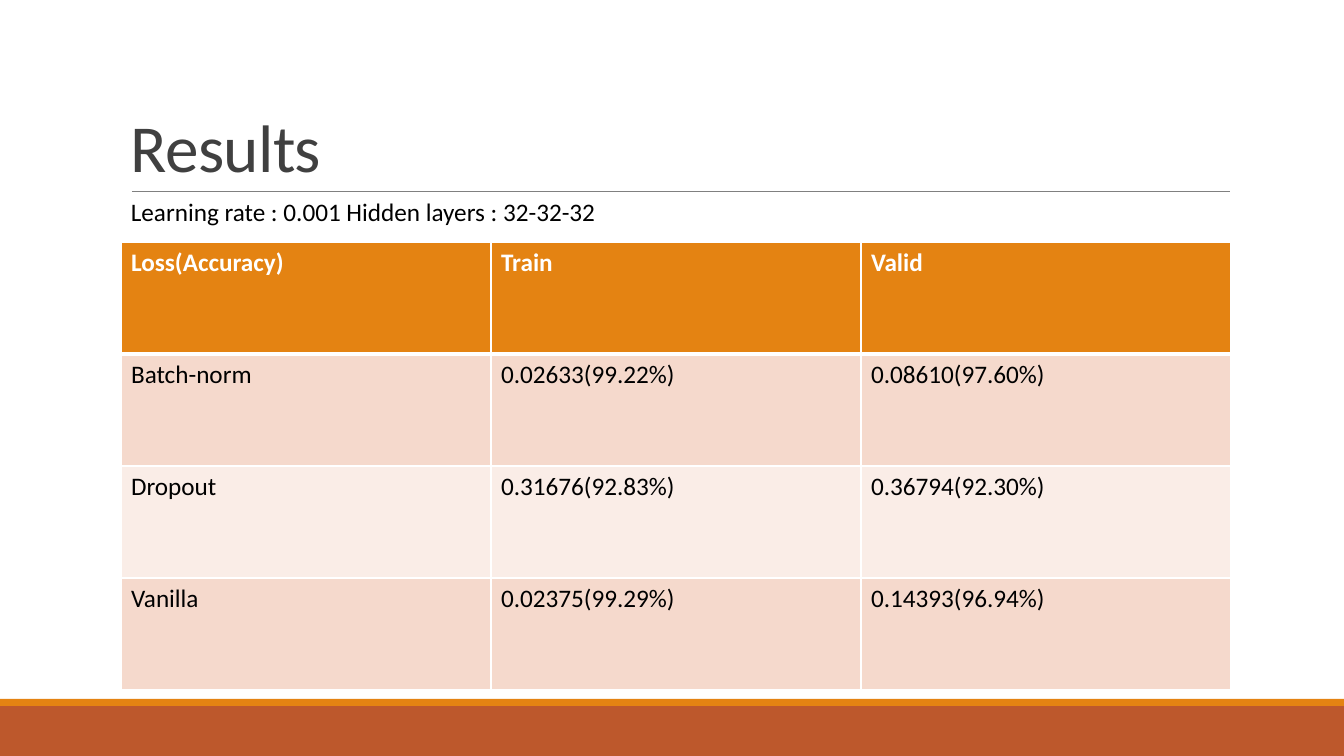
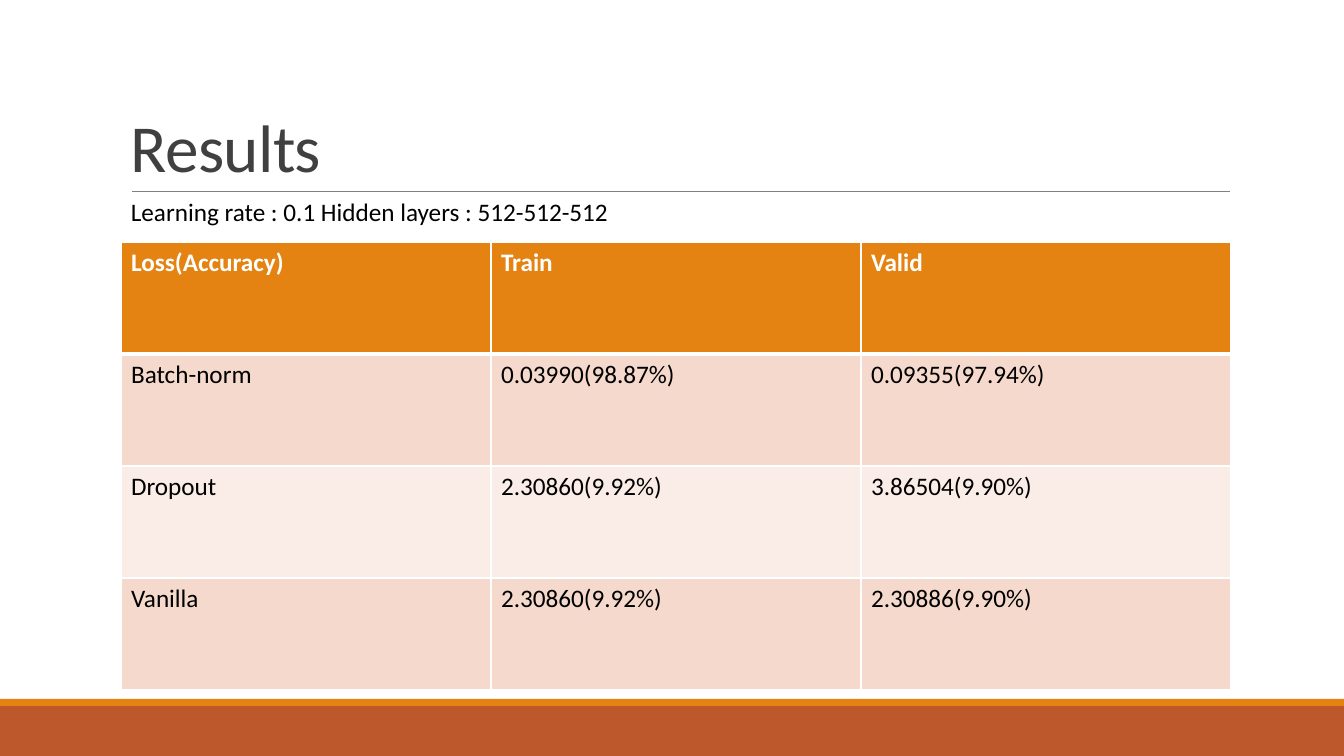
"""Build two result slides comparing training methods."""
from lxml import etree
from pptx import Presentation
from pptx import util as u
from pptx.dml.color import RGBColor
from pptx.enum import shapes, text
from pptx.oxml import ns

RESULTS = [
    ("Learning rate : 0.001 Hidden layers : 32-32-32", [
        ("Batch-norm", "0.02633(99.22%)", "0.08610(97.60%)"),
        ("Dropout", "0.31676(92.83%)", "0.36794(92.30%)"),
        ("Vanilla", "0.02375(99.29%)", "0.14393(96.94%)"),
    ]),
    ("Learning rate : 0.1 Hidden layers : 512-512-512", [
        ("Batch-norm", "0.03990(98.87%)", "0.09355(97.94%)"),
        ("Dropout", "2.30860(9.92%)", "3.86504(9.90%)"),
        ("Vanilla", "2.30860(9.92%)", "2.30886(9.90%)"),
    ]),
]
TITLE = "Results"
HEADER = ("Loss(Accuracy)", "Train", "Valid")

FONT = "Calibri"
WHITE = RGBColor(0xFF, 0xFF, 0xFF)
BLACK = RGBColor(0x00, 0x00, 0x00)
CHARCOAL = RGBColor(0x40, 0x40, 0x40)
GRAY = RGBColor(0x80, 0x80, 0x80)
ORANGE = RGBColor(0xE4, 0x83, 0x12)
RUST = RGBColor(0xBD, 0x58, 0x2C)
ROW_TINTS = (RGBColor(0xF5, 0xD9, 0xCC), RGBColor(0xFA, 0xED, 0xE7))

WIDTH, HEIGHT = 1344, 756
LEFT, CONTENT_WIDTH = 121, 1109
RULE_LEFT, RULE_RIGHT, RULE_Y = 132, 1230, 191
TABLE_TOP, COLUMN_WIDTH, ROW_HEIGHT = 242, 370, 112
BANDS = [(706, 50, RUST), (699, 7, ORANGE)]


def px(length):
    return u.Emu(round(length * 914400 / 100.8))


def write(frame, words, size=18, color=BLACK, bold=False, anchor=text.MSO_ANCHOR.TOP,
          line_spacing=None, tracking=None):
    frame.word_wrap = True
    frame.vertical_anchor = anchor
    paragraph = frame.paragraphs[0]
    paragraph.line_spacing = line_spacing
    run = paragraph.add_run()
    run.text = words
    run.font.name = FONT
    run.font.size = u.Pt(size)
    run.font.bold = bold
    run.font.color.rgb = color
    if tracking is not None:
        run.font._element.set("spc", str(round(tracking * 100)))


def add_text(slide, box, words, **style):
    write(slide.shapes.add_textbox(*map(px, box)).text_frame, words, **style)


def add_frame(slide):
    for top, height, color in BANDS:
        band = slide.shapes.add_shape(
            shapes.MSO_SHAPE.RECTANGLE, 0, px(top), px(WIDTH), px(height))
        band.shadow.inherit = False
        band.fill.solid()
        band.fill.fore_color.rgb = color
        band.line.fill.background()
    rule = slide.shapes.add_connector(
        shapes.MSO_CONNECTOR.STRAIGHT, px(RULE_LEFT), px(RULE_Y), px(RULE_RIGHT), px(RULE_Y))
    rule.line.color.rgb = GRAY
    rule.line.width = u.Pt(0.5)
    etree.SubElement(rule._element.spPr, ns.qn("a:effectLst"))
    add_text(slide, (LEFT, 31, CONTENT_WIDTH, RULE_Y - 31), TITLE, size=48, color=CHARCOAL,
             anchor=text.MSO_ANCHOR.BOTTOM, line_spacing=0.85, tracking=-0.5)


def set_borders(cell, top=1, bottom=1):
    properties = cell._tc.get_or_add_tcPr()
    for side, width in (("L", 1), ("R", 1), ("T", top), ("B", bottom)):
        border = etree.SubElement(properties, ns.qn(f"a:ln{side}"), w=str(u.Pt(width)))
        paint = etree.SubElement(border, ns.qn("a:solidFill"))
        etree.SubElement(paint, ns.qn("a:srgbClr"), val=str(WHITE))


def add_results_table(slide, scores):
    rows = [HEADER, *scores]
    table = slide.shapes.add_table(
        len(rows), len(HEADER), px(LEFT), px(TABLE_TOP),
        px(COLUMN_WIDTH * len(HEADER)), px(ROW_HEIGHT * len(rows))).table
    for column in table.columns:
        column.width = px(COLUMN_WIDTH)
    for r, row in enumerate(rows):
        table.rows[r].height = px(ROW_HEIGHT)
        is_header = r == 0
        for c, words in enumerate(row):
            cell = table.cell(r, c)
            set_borders(cell, top=3 if r == 1 else 1, bottom=3 if is_header else 1)
            cell.fill.solid()
            cell.fill.fore_color.rgb = ORANGE if is_header else ROW_TINTS[(r - 1) % 2]
            write(cell.text_frame, words, color=WHITE if is_header else BLACK, bold=is_header)


def main():
    deck = Presentation()
    deck.slide_width, deck.slide_height = px(WIDTH), px(HEIGHT)
    for settings, scores in RESULTS:
        slide = deck.slides.add_slide(deck.slide_layouts[6])
        add_frame(slide)
        add_results_table(slide, scores)
        add_text(slide, (LEFT, RULE_Y, 771, 40), settings)
    deck.save("out.pptx")


if __name__ == "__main__":
    main()
